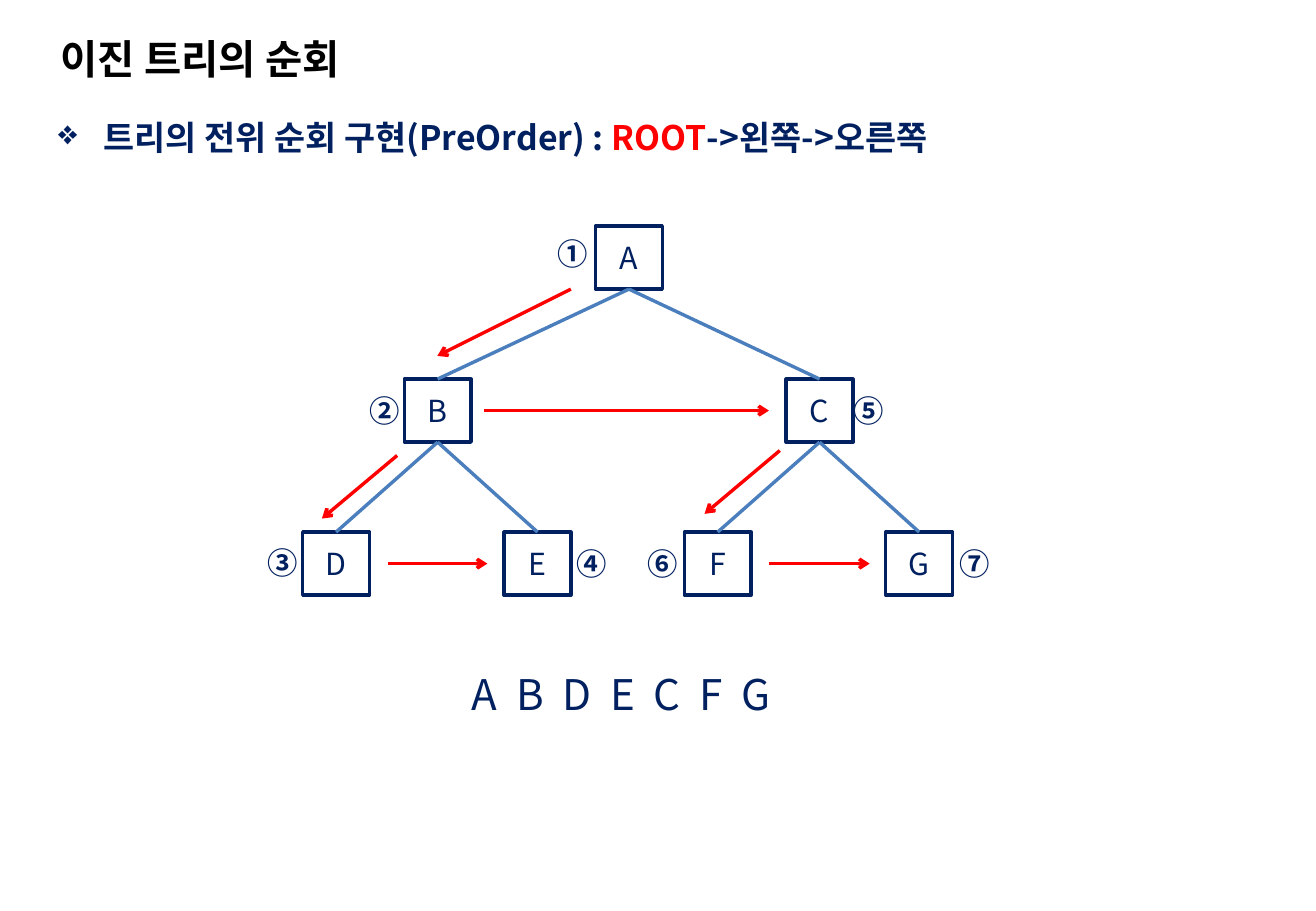
from lxml.etree import SubElement
from pptx import Presentation
from pptx.dml.color import RGBColor
from pptx.enum.shapes import MSO_CONNECTOR, MSO_SHAPE
from pptx.enum.text import MSO_ANCHOR, PP_ALIGN
from pptx.oxml.ns import qn
from pptx.util import Pt

FONT = "Noto Sans CJK KR"
BLACK = RGBColor(0x00, 0x00, 0x00)
NAVY = RGBColor(0x00, 0x20, 0x60)
BLUE = RGBColor(0x4B, 0x7E, 0xBC)
RED = RGBColor(0xFF, 0x00, 0x00)

NODE_WIDTH, NODE_HEIGHT = 39.6, 37.4
ROOT_TOP, LEVEL_STEP = 134, 90.7
BADGE_WIDTH, BADGE_HEIGHT = 32.4, 29

# Nodes in visiting order: letter, level, centre x, badge left and top
NODES = [
    ("A", 0, 372.8, 323.3, 136),
    ("B", 1, 259.4, 211.7, 229),
    ("D", 2, 199.2, 151.2, 319),
    ("E", 2, 318.6, 334.8, 319.7),
    ("C", 1, 485.8, 499, 229),
    ("F", 2, 425.4, 376.6, 319.7),
    ("G", 2, 544.8, 561.6, 319.7),
]
CHILDREN = {"A": "BC", "B": "DE", "C": "FG"}

# Visiting steps: start x, start y, end x, end y
STEPS = [
    (338.4, 171.4, 259.2, 211),
    (235.4, 270, 190.8, 307.4),
    (229.7, 334.1, 288.9, 334.1),
    (286.6, 243.4, 455.8, 243.4),
    (462.2, 267.1, 417.6, 304.6),
    (455.8, 334.1, 515.5, 334.1),
]


def add_run(paragraph, text, size, color, bold=False):
    run = paragraph.add_run()
    run.text = text
    run.font.name = FONT
    run.font.size = Pt(size)
    run.font.bold = bold
    run.font.color.rgb = color
    SubElement(run.font._element, qn("a:ea"), typeface=FONT)


def add_text(slide, left, top, width, height, runs, size, bold=False,
             wrap=False, anchor=MSO_ANCHOR.TOP, align=PP_ALIGN.LEFT):
    box = slide.shapes.add_textbox(Pt(left), Pt(top), Pt(width), Pt(height))
    frame = box.text_frame
    frame.word_wrap = wrap
    frame.vertical_anchor = anchor
    paragraph = frame.paragraphs[0]
    paragraph.alignment = align
    for text, color in runs:
        add_run(paragraph, text, size, color, bold)
    return paragraph


def add_bullet(paragraph, mark, indent):
    paragraph.space_before = Pt(4)
    properties = paragraph._p.get_or_add_pPr()
    properties.set("marL", str(Pt(indent)))
    properties.set("indent", str(-Pt(indent)))
    SubElement(properties, qn("a:buChar"), char=mark)


def add_node(slide, letter, level, center):
    node = slide.shapes.add_shape(
        MSO_SHAPE.RECTANGLE, Pt(center - NODE_WIDTH / 2),
        Pt(ROOT_TOP + level * LEVEL_STEP), Pt(NODE_WIDTH), Pt(NODE_HEIGHT))
    node.shadow.inherit = False
    node.fill.background()
    node.line.color.rgb = NAVY
    node.line.width = Pt(2)
    node.text_frame.vertical_anchor = MSO_ANCHOR.MIDDLE
    paragraph = node.text_frame.paragraphs[0]
    paragraph.alignment = PP_ALIGN.CENTER
    add_run(paragraph, letter, 18, NAVY)
    return node


def add_line(slide, ends, color):
    line = slide.shapes.add_connector(
        MSO_CONNECTOR.STRAIGHT, *[Pt(value) for value in ends])
    line.line.color.rgb = color
    line.line.width = Pt(2)
    SubElement(line._element.spPr, qn("a:effectLst"))
    return line


def add_branch(slide, parent, child):
    branch = add_line(slide, (0, 0, 0, 0), BLUE)
    branch.begin_connect(parent, 2)
    branch.end_connect(child, 0)


def add_step(slide, ends):
    step = add_line(slide, ends, RED)
    SubElement(step.line._get_or_add_ln(), qn("a:tailEnd"), type="arrow")


def main():
    deck = Presentation()
    deck.slide_width, deck.slide_height = Pt(780), Pt(540)
    slide = deck.slides.add_slide(deck.slide_layouts[6])

    # Title and heading
    add_text(slide, 28.8, 15.1, 450.7, 38.9, [("이진 트리의 순회", BLACK)], 24,
             bold=True, wrap=True, anchor=MSO_ANCHOR.MIDDLE)
    heading = add_text(
        slide, 27.4, 65.5, 684, 450,
        [("트리의 전위 순회 구현(PreOrder) : ", NAVY), ("ROOT", RED),
         ("->왼쪽->오른쪽", NAVY)], 20, bold=True, wrap=True)
    add_bullet(heading, "❖", 27)

    # Tree
    nodes = {letter: add_node(slide, letter, level, center)
             for letter, level, center, *_ in NODES}
    for parent, children in CHILDREN.items():
        for child in children:
            add_branch(slide, nodes[parent], nodes[child])

    # Visiting order
    for ends in STEPS:
        add_step(slide, ends)
    for number, (*_, left, top) in zip("①②③④⑤⑥⑦", NODES):
        add_text(slide, left, top, BADGE_WIDTH, BADGE_HEIGHT,
                 [(number, NAVY)], 18, bold=True)

    # Result
    result = "  ".join(nodes)
    add_text(slide, 253.4, 392.4, 229.7, 37.4, [(result, NAVY)], 25,
             align=PP_ALIGN.CENTER)

    deck.save("out.pptx")


main()
